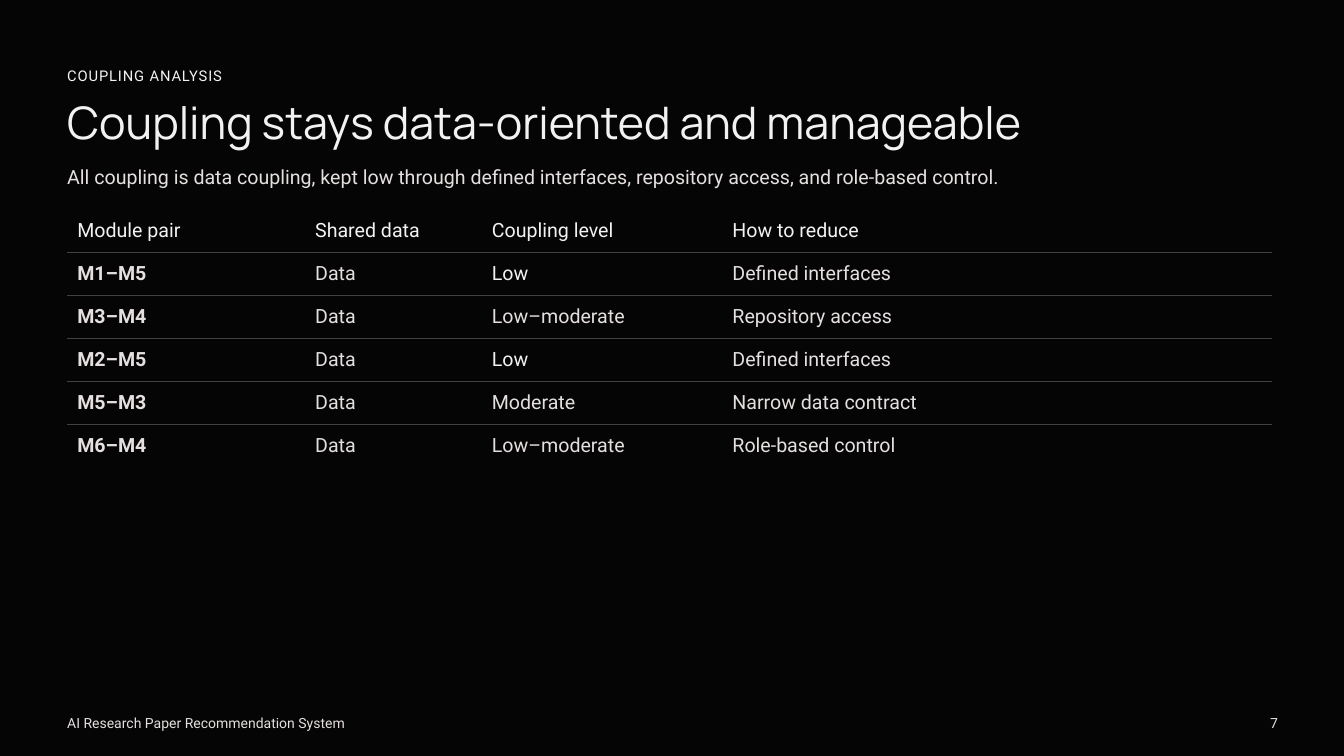
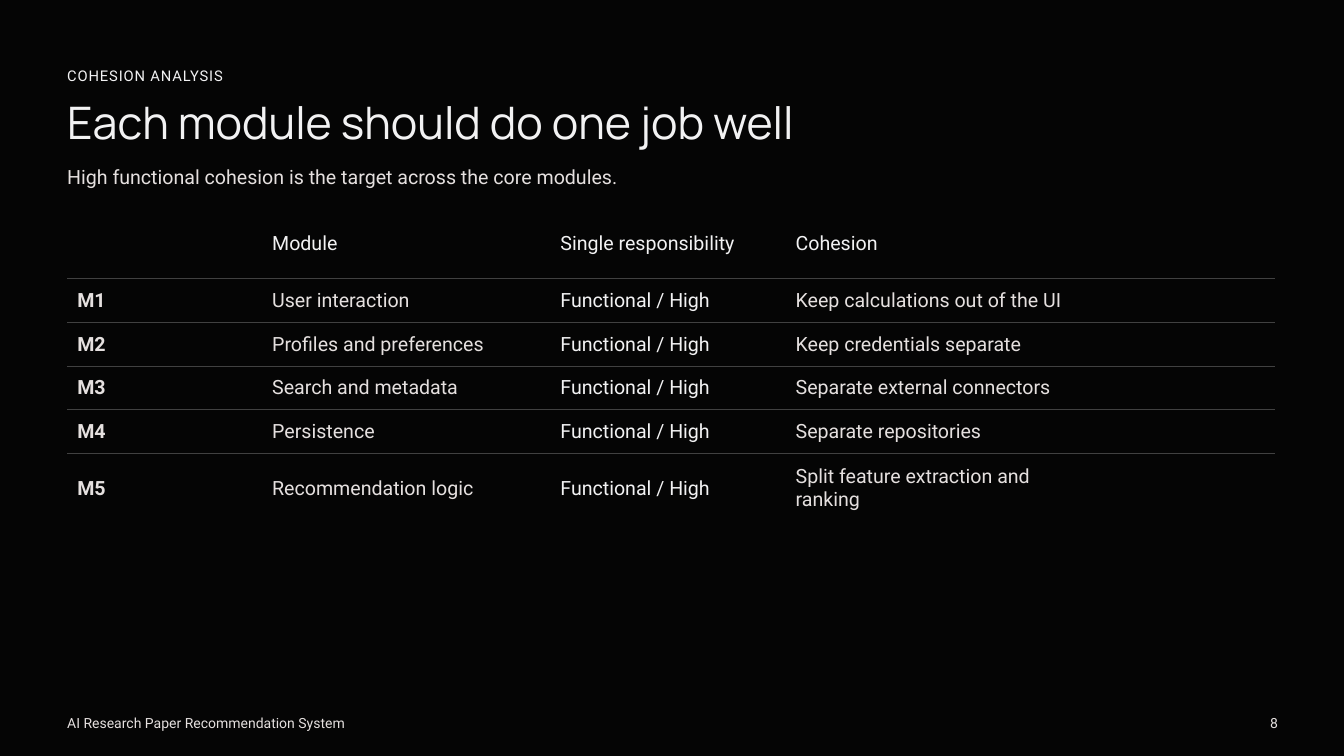
import pptx
import pptx.dml.color
import pptx.enum.text
import pptx.oxml.ns
import pptx.util
from dataclasses import dataclass
from lxml import etree

Inches, Pt = pptx.util.Inches, pptx.util.Pt
RGB = pptx.dml.color.RGBColor.from_string
ANCHOR = pptx.enum.text.MSO_ANCHOR
AUTO = pptx.enum.text.MSO_AUTO_SIZE
qn = pptx.oxml.ns.qn

FOOTER = "AI Research Paper Recommendation System"
SLIDES = [
    {
        "kicker": "COUPLING ANALYSIS",
        "title": "Coupling stays data-oriented and manageable",
        "lead": "All coupling is data coupling, kept low through defined interfaces, "
                "repository access, and role-based control.",
        "number": 7,
        "columns": [3.54, 2.63, 3.58, 6.29] + [0.47] * 4,
        "heights": [0.64] * 6,
        "rows": [
            ("Module pair", "Shared data", "Coupling level", "How to reduce"),
            ("M1–M5", "Data", "Low", "Defined interfaces"),
            ("M3–M4", "Data", "Low–moderate", "Repository access"),
            ("M2–M5", "Data", "Low", "Defined interfaces"),
            ("M5–M3", "Data", "Moderate", "Narrow data contract"),
            ("M6–M4", "Data", "Low–moderate", "Role-based control"),
        ],
    },
    {
        "kicker": "COHESION ANALYSIS",
        "title": "Each module should do one job well",
        "lead": "High functional cohesion is the target across the core modules.",
        "number": 8,
        "columns": [2.9, 4.29, 3.5, 4.63, 2.18, 0.47],
        "heights": [1.04] + [0.65] * 4 + [1.03],
        "rows": [
            ("", "Module", "Single responsibility", "Cohesion"),
            ("M1", "User interaction", "Functional / High", "Keep calculations out of the UI"),
            ("M2", "Profiles and preferences", "Functional / High", "Keep credentials separate"),
            ("M3", "Search and metadata", "Functional / High", "Separate external connectors"),
            ("M4", "Persistence", "Functional / High", "Separate repositories"),
            ("M5", "Recommendation logic", "Functional / High", "Split feature extraction and ranking"),
        ],
    },
]
GOOD_LEVELS = {"Low", "Functional / High"}


@dataclass(frozen=True)
class Style:
    size: float
    leading: float
    color: str
    font: str = "Roboto"
    tracking: int = 0


class Theme:
    bg, rule, bright, soft = "050505", "414141", "F2F2F3", "E5E0DF"
    kicker = Style(15.8, 22.1, bright, tracking=90)
    title = Style(48, 53, bright, "Manrope")
    lead = Style(21, 29.5, soft)
    footer = Style(15, 21.1, soft)
    strong_cell = Style(21, 25.2, bright)
    cell = Style(21, 25.2, soft)


HEADINGS = {
    "kicker": (1, 0.95, 19, 0.36),
    "title": (1, 1.47, 18, 0.74),
    "lead": (1, 2.4, 19, 0.46),
}
TABLE_AT = (1, 3.11)
CELL_FORMAT = {
    "margin_left": Inches(0.15), "margin_right": Inches(0.15),
    "margin_top": Inches(0.14), "margin_bottom": Inches(0.14),
    "vertical_anchor": ANCHOR.MIDDLE,
}


def apply(target, values):
    for name, value in values.items():
        setattr(target, name, value)


def write(tf, text, style, bold=False):
    p = tf.paragraphs[0]
    p.line_spacing = Pt(style.leading)
    r = p.add_run()
    r.text = text
    apply(r.font, {"name": style.font, "size": Pt(style.size), "bold": bold})
    r.font.color.rgb = RGB(style.color)
    if style.tracking:
        r.font._element.set("spc", str(style.tracking))


def add_text(s, text, box, style, anchor=ANCHOR.TOP, auto_size=AUTO.NONE):
    tf = s.shapes.add_textbox(*map(Inches, box)).text_frame
    apply(tf, {
        "margin_left": 0, "margin_right": 0, "margin_top": 0, "margin_bottom": 0,
        "word_wrap": True, "vertical_anchor": anchor, "auto_size": auto_size,
    })
    write(tf, text, style)


def set_borders(cell, top, bottom):
    tcPr = cell._tc.get_or_add_tcPr()
    for side, color in zip("LRTB", (Theme.bg, Theme.bg, top, bottom)):
        ln = etree.SubElement(tcPr, qn(f"a:ln{side}"), w=str(Pt(1)))
        fill = etree.SubElement(ln, qn("a:solidFill"))
        etree.SubElement(fill, qn("a:srgbClr"), val=color)


def add_table(s, rows, columns, heights):
    size = (sum(columns), sum(heights))
    table = s.shapes.add_table(len(rows), len(columns), *map(Inches, TABLE_AT + size)).table
    apply(table, {"first_row": False, "horz_banding": False})
    for column, width in zip(table.columns, columns):
        column.width = Inches(width)
    last = len(rows) - 1
    for i, (row, height) in enumerate(zip(rows, heights)):
        table.rows[i].height = Inches(height)
        for j in range(len(columns)):
            cell = table.cell(i, j)
            set_borders(cell, Theme.rule if i else Theme.bg,
                        Theme.rule if i < last else Theme.bg)
            cell.fill.solid()
            cell.fill.fore_color.rgb = RGB(Theme.bg)
            text = row[j] if j < len(row) else ""
            if text:
                apply(cell, CELL_FORMAT)
                strong = i == 0 or text in GOOD_LEVELS
                style = Theme.strong_cell if strong else Theme.cell
                write(cell.text_frame, text, style, bold=i > 0 and j == 0)


def add_slide(prs, content):
    s = prs.slides.add_slide(prs.slide_layouts[6])
    s.background.fill.solid()
    s.background.fill.fore_color.rgb = RGB(Theme.bg)
    for name, box in HEADINGS.items():
        add_text(s, content[name], box, getattr(Theme, name), auto_size=AUTO.SHAPE_TO_FIT_TEXT)
    add_table(s, content["rows"], content["columns"], content["heights"])
    for text, left, width in ((FOOTER, 1, 5), (str(content["number"]), 18.9, 1.1)):
        add_text(s, text, (left, 10.58, width, 0.32), Theme.footer, ANCHOR.MIDDLE)


def main():
    prs = pptx.Presentation()
    apply(prs, {"slide_width": Inches(20), "slide_height": Inches(11.25)})
    for content in SLIDES:
        add_slide(prs, content)
    prs.save("out.pptx")


if __name__ == "__main__":
    main()
